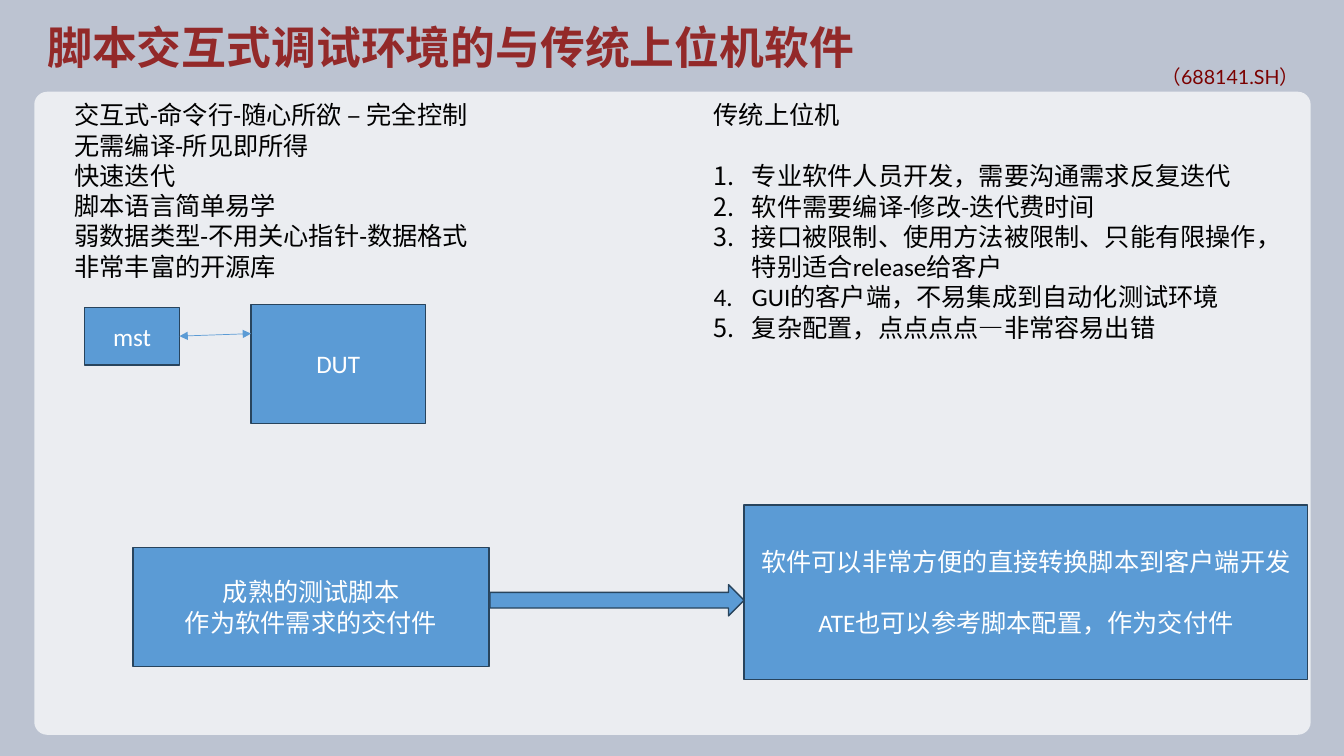
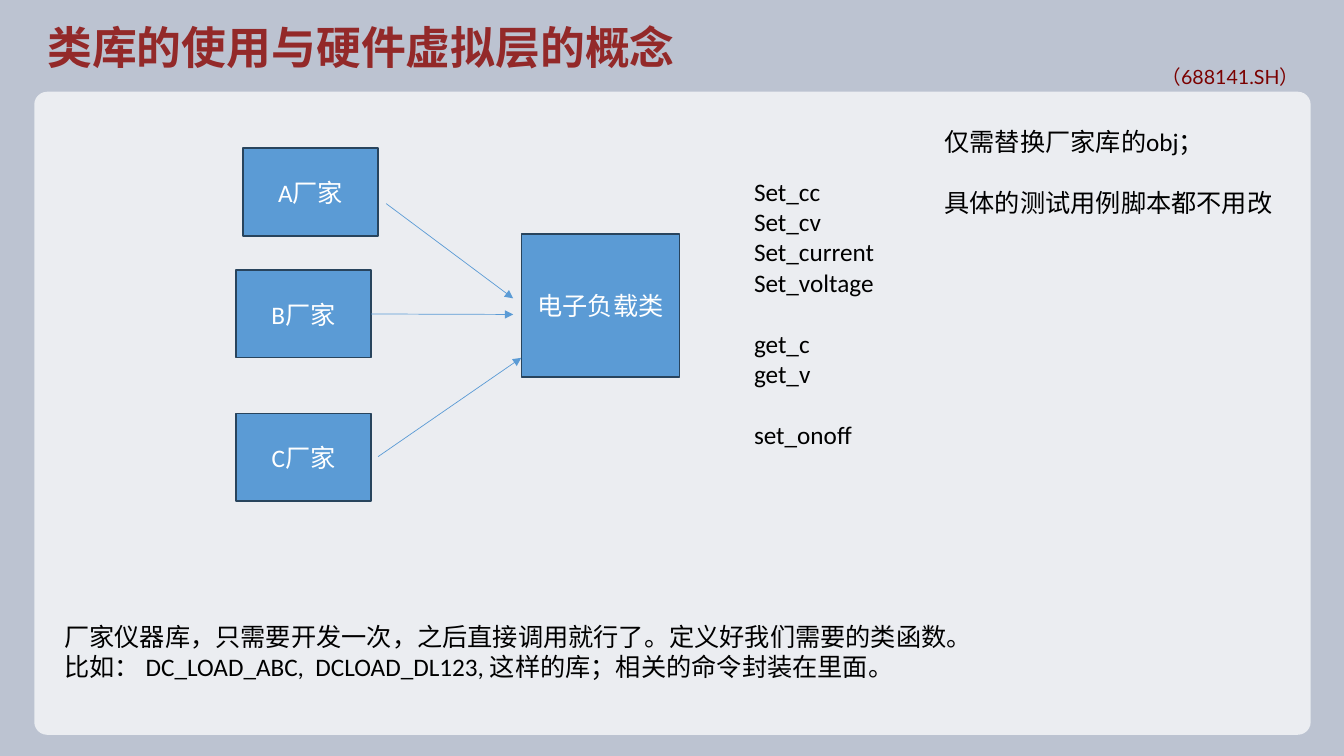
from dataclasses import dataclass

import pptx
import pptx.dml.color
import pptx.enum.shapes
import pptx.enum.text
import pptx.oxml
import pptx.oxml.ns
import pptx.util
import lxml.etree

Inches = pptx.util.Inches
Pt = pptx.util.Pt
Color = pptx.dml.color.RGBColor.from_string
Align = pptx.enum.text.PP_ALIGN
Anchor = pptx.enum.text.MSO_ANCHOR
Kind = pptx.enum.shapes.MSO_SHAPE
qn = pptx.oxml.ns.qn


@dataclass(frozen=True)
class Theme:
    back: str = "BCC3D1"
    panel: str = "FFFFFF"
    title: str = "932929"
    tag: str = "7B0100"
    text: str = "000000"
    light: str = "FFFFFF"
    fill: str = "5B9BD5"
    edge: str = "28445D"
    title_size: int = 32
    body_size: int = 18
    tag_size: int = 14
    gap: int = 22  # one line of body text


THEME = Theme()


@dataclass(frozen=True)
class Style:
    font: str
    size: int
    color: str
    bold: bool = False
    align: Align = Align.LEFT
    anchor: Anchor = Anchor.TOP


TITLE = Style("Roboto", THEME.title_size, THEME.title, bold=True)
TAG = Style("Lato", THEME.tag_size, THEME.tag, align=Align.JUSTIFY, anchor=Anchor.BOTTOM)
BODY = Style("Calibri", THEME.body_size, THEME.text)
LABEL = Style("Calibri", THEME.body_size, THEME.light, align=Align.CENTER, anchor=Anchor.MIDDLE)


@dataclass(frozen=True)
class Area:
    left: float
    top: float
    width: float
    height: float

    def size(self) -> tuple:
        return tuple(map(Inches, (self.left, self.top, self.width, self.height)))


@dataclass(frozen=True)
class Line:
    text: str
    gap: bool = False
    count: bool = False


@dataclass(frozen=True)
class Block:
    area: Area
    lines: tuple


@dataclass(frozen=True)
class Arrow:
    start: tuple
    end: tuple
    both: bool = False


def number(para) -> None:
    """Turn a paragraph into a numbered item with a hanging indent."""
    props = para._p.get_or_add_pPr()
    props.set("marL", str(Inches(0.38)))
    props.set("indent", str(-Inches(0.38)))
    lxml.etree.SubElement(props, qn("a:buAutoNum"), type="arabicPeriod")


def write(shape, lines: tuple, style: Style) -> None:
    frame = shape.text_frame
    frame.word_wrap = True
    frame.vertical_anchor = style.anchor
    for i, item in enumerate(lines):
        line = item if isinstance(item, Line) else Line(item)
        para = frame.add_paragraph() if i else frame.paragraphs[0]
        para.text = line.text
        para.alignment = style.align
        if line.gap:
            para.space_before = Pt(THEME.gap)
        if line.count:
            number(para)
        font = para.font
        font.name, font.size, font.bold = style.font, Pt(style.size), style.bold
        font.color.rgb = Color(style.color)


def add_text(slide, block: Block, style: Style = BODY) -> None:
    write(slide.shapes.add_textbox(*block.area.size()), block.lines, style)


def add_box(slide, block: Block, kind: Kind = Kind.RECTANGLE):
    box = slide.shapes.add_shape(kind, *block.area.size())
    box.shadow.inherit = False
    box.fill.solid()
    box.fill.fore_color.rgb = Color(THEME.fill)
    box.line.color.rgb = Color(THEME.edge)
    box.line.width = Pt(1)
    if block.lines:
        write(box, block.lines, LABEL)
    return box


def add_arrow(slide, arrow: Arrow, source=None) -> None:
    """Draw an arrow, joined to the right side of source if given."""
    link = slide.shapes.add_connector(
        pptx.enum.shapes.MSO_CONNECTOR.STRAIGHT,
        *map(Inches, arrow.start + arrow.end))
    if source is not None:
        link.begin_connect(source, 3)
    link.line.color.rgb = Color(THEME.fill)
    link.line.width = Pt(0.5)
    props = link._element.spPr
    stroke = props.find(qn("a:ln"))
    for end in ("a:headEnd", "a:tailEnd") if arrow.both else ("a:tailEnd",):
        lxml.etree.SubElement(stroke, qn(end), type="triangle")
    lxml.etree.SubElement(props, qn("a:effectLst"))


def add_page(deck, title: str):
    """Add a slide with the shared tag, panel and title."""
    slide = deck.slides.add_slide(deck.slide_layouts[6])
    add_text(slide, Block(Area(11.42, 0.59, 1.71, 0.34), ("（688141.SH）",)), TAG)
    panel = slide.shapes.add_shape(
        Kind.ROUNDED_RECTANGLE, *Area(0.34, 0.91, 12.66, 6.38).size())
    panel.adjustments[0] = 0.02
    panel.shadow.inherit = False
    panel.fill.solid()
    panel.fill.fore_color.rgb = Color(THEME.panel)
    tint = panel._element.spPr.find(".//" + qn("a:srgbClr"))
    lxml.etree.SubElement(tint, qn("a:alpha"), val="70000")
    panel.line.fill.background()
    add_text(slide, Block(Area(0.37, 0.15, 9.19, 0.64), (title,)), TITLE)
    return slide


def add_tools(deck) -> None:
    slide = add_page(deck, "脚本交互式调试环境的与传统上位机软件")

    # Two columns of points
    add_text(slide, Block(Area(0.64, 0.94, 5.04, 1.92), (
        "交互式-命令行-随心所欲 – 完全控制",
        "无需编译-所见即所得",
        "快速迭代",
        "脚本语言简单易学",
        "弱数据类型-不用关心指针-数据格式",
        "非常丰富的开源库")))
    add_text(slide, Block(Area(6.98, 0.94, 5.71, 2.83), (
        "传统上位机",
        Line("专业软件人员开发，需要沟通需求反复迭代", gap=True, count=True),
        Line("软件需要编译-修改-迭代费时间", count=True),
        Line("接口被限制、使用方法被限制、只能有限操作，特别适合release给客户", count=True),
        Line("GUI的客户端，不易集成到自动化测试环境", count=True),
        Line("复杂配置，点点点点—非常容易出错", count=True))))

    # Master and device
    add_box(slide, Block(Area(2.49, 3.02, 1.73, 1.18), ("DUT",)))
    master = add_box(slide, Block(Area(0.84, 3.05, 0.94, 0.57), ("mst",)))
    add_arrow(slide, Arrow((1.78, 3.34), (2.49, 3.31), both=True), master)

    # Script handed over to software
    add_box(slide, Block(Area(1.32, 5.43, 3.53, 1.18),
                         ("成熟的测试脚本", "作为软件需求的交付件")))
    add_box(slide, Block(Area(7.38, 5.01, 5.59, 1.73), (
        "软件可以非常方便的直接转换脚本到客户端开发",
        Line("ATE也可以参考脚本配置，作为交付件", gap=True))))
    add_box(slide, Block(Area(4.86, 5.8, 2.52, 0.31), ()), Kind.RIGHT_ARROW)


def add_layer(deck) -> None:
    slide = add_page(deck, "类库的使用与硬件虚拟层的概念")

    # Vendors feeding one load class
    add_box(slide, Block(Area(5.17, 2.32, 1.57, 1.42), ("电子负载类",)))
    spots = {"A": (2.41, 1.47), "B": (2.34, 2.68), "C": (2.34, 4.1)}
    boxes = {name: add_box(slide, Block(Area(*spot, 1.34, 0.87), (f"{name}厂家",)))
             for name, spot in spots.items()}
    add_arrow(slide, Arrow((3.83, 2.02), (5.09, 2.96)))
    add_arrow(slide, Arrow((3.68, 3.12), (5.09, 3.12)), boxes["B"])
    add_arrow(slide, Arrow((3.75, 4.53), (5.17, 3.55)))

    # Class functions and notes
    add_text(slide, Block(Area(7.38, 1.7, 2.18, 2.83), (
        "Set_cc", "Set_cv", "Set_current", "Set_voltage",
        Line("get_c", gap=True), "get_v",
        Line("set_onoff", gap=True))))
    add_text(slide, Block(Area(9.27, 1.2, 3.75, 1.01), (
        "仅需替换厂家库的obj；",
        Line("具体的测试用例脚本都不用改", gap=True))))
    add_text(slide, Block(Area(0.54, 6.11, 10.3, 0.71), (
        "厂家仪器库，只需要开发一次，之后直接调用就行了。定义好我们需要的类函数。",
        "比如： DC_LOAD_ABC,  DCLOAD_DL123, 这样的库；相关的命令封装在里面。")))


def main() -> None:
    deck = pptx.Presentation()
    deck.slide_width, deck.slide_height = Inches(13.33), Inches(7.5)
    back = deck.slide_master.background.fill
    back.solid()
    back.fore_color.rgb = Color(THEME.back)
    add_tools(deck)
    add_layer(deck)
    deck.save("out.pptx")


if __name__ == "__main__":
    main()
